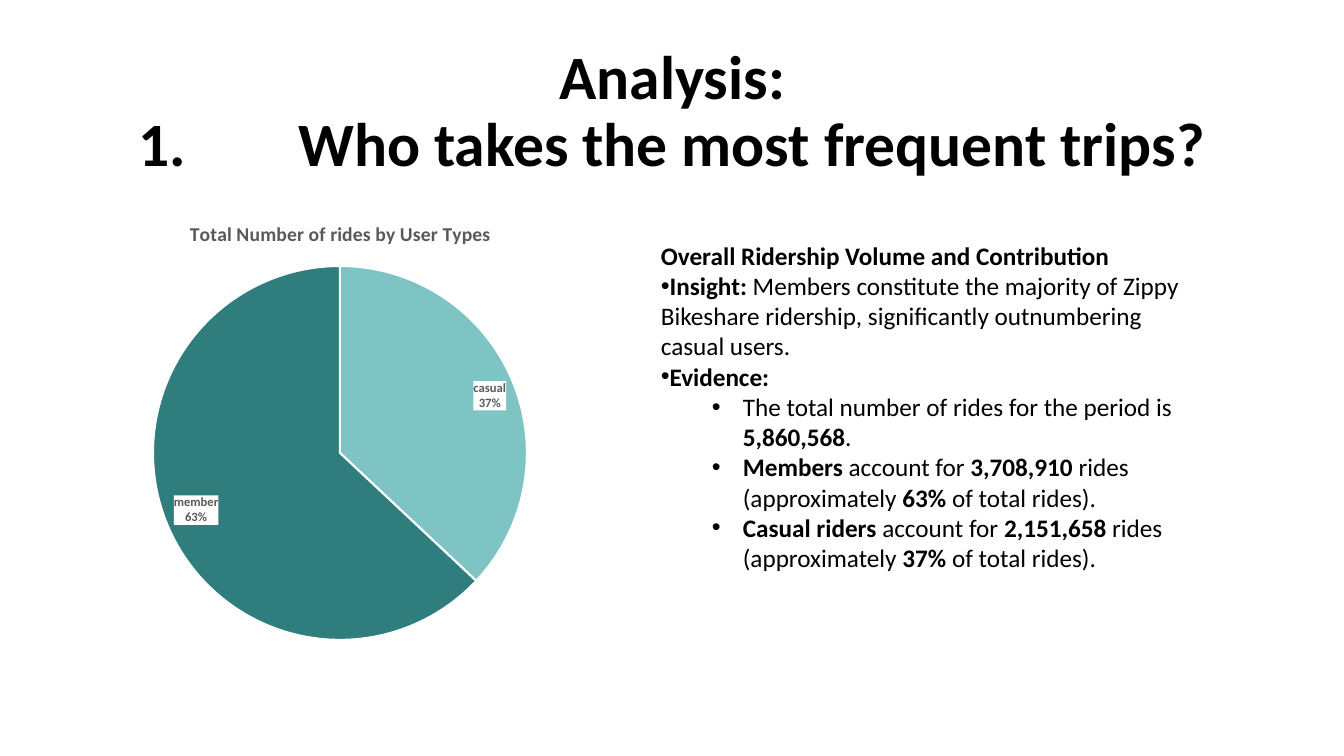
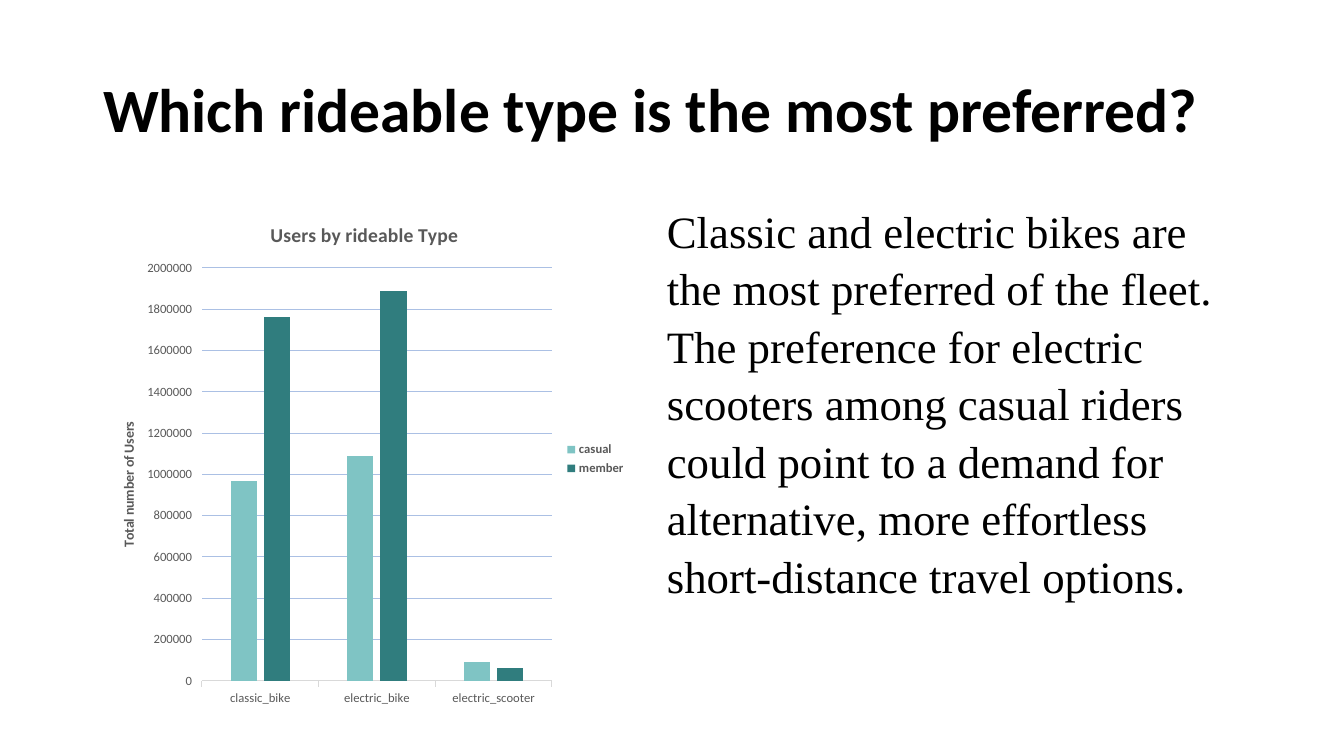
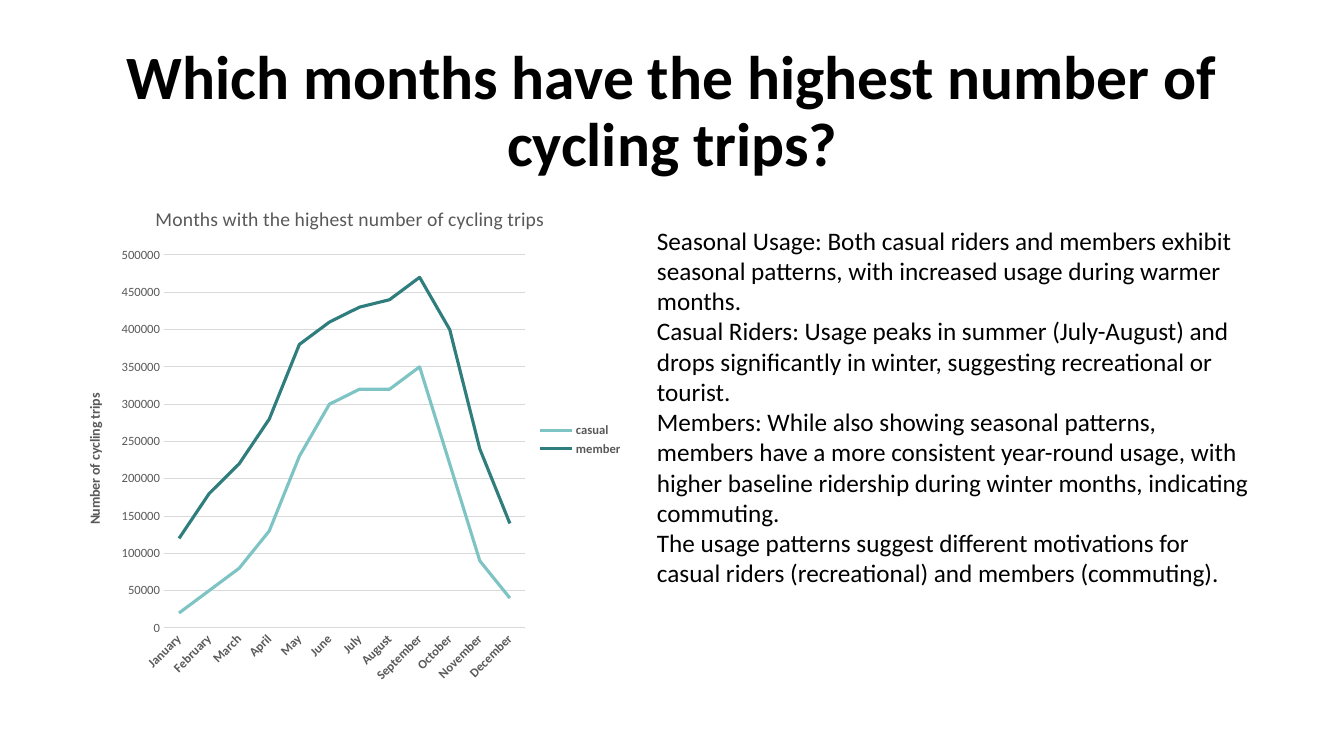
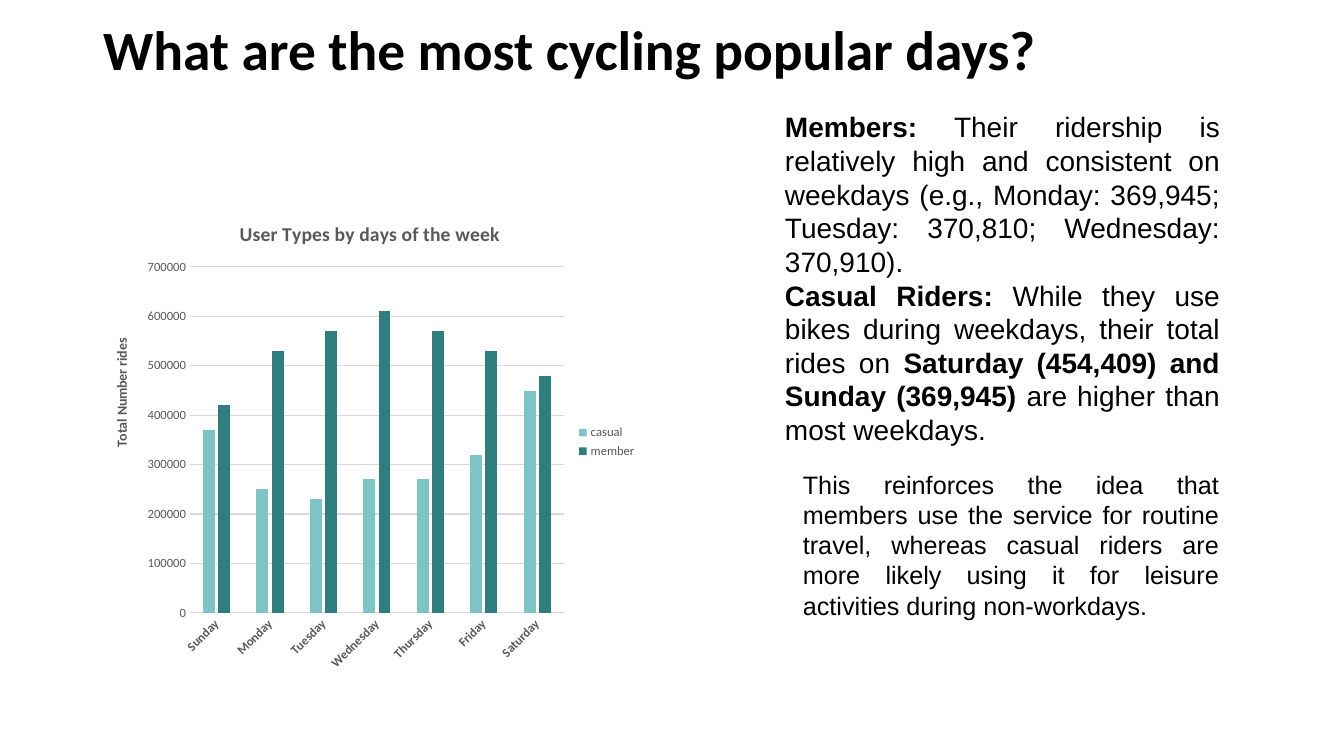
from lxml import etree
from pptx import Presentation
from pptx import util as u
from pptx.chart.data import CategoryChartData
from pptx.dml.color import RGBColor
from pptx.enum import chart as ch, text as tx
from pptx.oxml import parse_xml
from pptx.oxml.ns import nsdecls, qn

# Shared style
INK, GREY, RULE, WHITE = "000000", "595959", "D9D9D9", "FFFFFF"
TONES = ["7FC4C4", "307D7E"]
FACE = "Calibri"
LEFT, MID, JUST = tx.PP_ALIGN.LEFT, tx.PP_ALIGN.CENTER, tx.PP_ALIGN.JUSTIFY
TOP, CORE = tx.MSO_ANCHOR.TOP, tx.MSO_ANCHOR.MIDDLE
PIE, BAR, LINE = (ch.XL_CHART_TYPE.PIE, ch.XL_CHART_TYPE.COLUMN_CLUSTERED,
                  ch.XL_CHART_TYPE.LINE)
OUT, NONE = ch.XL_TICK_MARK.OUTSIDE, ch.XL_TICK_MARK.NONE
rgb = RGBColor.from_string


def px(n):
    return u.Emu(round(n * 12192000 / 1344))


def write(frame, lines, size, face=FACE, tone=INK, side=None, lead=None, after=None):
    """Fill a frame: * switches bold, a leading • or – sets bullet level 1 or 2,
    ~ is a wide gap and a newline breaks the line."""
    for n, line in enumerate(lines):
        par = frame.paragraphs[0] if n == 0 else frame.add_paragraph()
        par.alignment, par.line_spacing, par.space_after = side, lead, after
        if line[0] in "•–":
            prop = par._p.get_or_add_pPr()
            deep = line[0] == "–"
            prop.set("lvl", str(int(deep)))
            prop.set("marL", str(px(82) if deep else 0))
            prop.set("indent", str(-px(31) if deep else 0))
            etree.SubElement(prop, qn("a:buFont")).set("typeface", "Arial")
            etree.SubElement(prop, qn("a:buChar")).set("char", "•")
            line = line[1:]
        for i, part in enumerate(line.split("*")):
            for j, row in enumerate(part.split("\n")):
                if j:
                    par.add_line_break()
                for k, bit in enumerate(row.split("~")):
                    for word in ([" "] if k else []) + ([bit] if bit else []):
                        run = par.add_run()
                        run.text = word
                        font = run.font
                        font.name, font.size, font.bold = face, u.Pt(size), i % 2 == 1
                        font.color.rgb = rgb(tone)
                        if k and word == " ":
                            run._r.get_or_add_rPr().set("spc", "7000")


# Slide content; boxes are left, top, width, height in px
PAGES = [
    dict(
        title="*Analysis:\n1.~Who takes the most frequent trips?*", side=MID,
        kind=PIE, box=(93, 202, 495, 454), plot=(153, 266, 374, 374),
        head="*Total Number of rides by User Types*",
        cats=["casual", "member"], data=[("Series 1", [37, 63])],
        texts=[dict(box=(651, 235, 556, 346), size=18, lines=[
            "*Overall Ridership Volume and Contribution*",
            "•*Insight:* Members constitute the majority of Zippy Bikeshare ridership, "
            "significantly outnumbering casual users.",
            "•*Evidence:*",
            "–The total number of rides for the period is *5,860,568*.",
            "–*Members* account for *3,708,910* rides (approximately *63%* of total rides).",
            "–*Casual riders* account for *2,151,658* rides (approximately *37%* of total rides).",
        ])]),
    dict(
        title="*Which rideable type is the most preferred?*",
        kind=BAR, box=(93, 202, 543, 514), plot=(202, 268, 350, 413),
        head="*Users by rideable Type*", axis="*Total number of Users*", spot=(117, 419),
        grid="ABC0E4", tick=OUT, bold=False, turn=0, top=2000000, step=200000,
        cats=["classic_bike", "electric_bike", "electric_scooter"],
        data=[("casual", [970000, 1090000, 90000]),
              ("member", [1760000, 1890000, 60000])],
        texts=[dict(box=(657, 195, 594, 414), size=32, face="Times New Roman",
                    lead=1.07, after=u.Pt(8), lines=[
            "Classic and electric bikes are the most preferred of the fleet. "
            "The preference for electric scooters among casual riders could point to "
            "a demand for alternative, more effortless short-distance travel options.",
        ])]),
    dict(
        title="*Which months have the highest number of cycling trips?*", side=MID,
        kind=LINE, box=(67, 186, 566, 507), plot=(164, 255, 361, 373),
        head="Months with the highest number of cycling trips",
        axis="*Number of cycling trips*", spot=(83, 391), top=500000, step=50000,
        cats=["January", "February", "March", "April", "May", "June", "July",
              "August", "September", "October", "November", "December"],
        data=[("casual", [20000, 50000, 80000, 130000, 230000, 300000,
                          320000, 320000, 350000, 220000, 90000, 40000]),
              ("member", [120000, 180000, 220000, 280000, 380000, 410000,
                          430000, 440000, 470000, 400000, 240000, 140000])],
        texts=[dict(box=(647, 220, 617, 377), size=18, lines=[
            "Seasonal Usage: Both casual riders and members exhibit seasonal patterns, "
            "with increased usage during warmer months.",
            "Casual Riders: Usage peaks in summer (July-August) and drops significantly "
            "in winter, suggesting recreational or tourist.",
            "Members: While also showing seasonal patterns, members have a more consistent "
            "year-round usage, with higher baseline ridership during winter months, "
            "indicating commuting.",
            "The usage patterns suggest different motivations for casual riders "
            "(recreational) and members (commuting).",
        ])]),
    dict(
        title="*What are the most cycling popular days?*", size=39.6, area=(93, 7, 969, 92),
        kind=BAR, box=(93, 202, 554, 480), plot=(190, 267, 374, 346),
        head="*User Types by days of the week*", axis="*Total Number rides*",
        spot=(110, 336), key=False, top=700000, step=100000,
        cats=["Sunday", "Monday", "Tuesday", "Wednesday", "Thursday", "Friday", "Saturday"],
        data=[("casual", [370000, 250000, 230000, 270000, 270000, 320000, 450000]),
              ("member", [420000, 530000, 570000, 610000, 570000, 530000, 480000])],
        texts=[
            dict(box=(775, 103, 455, 350), size=20, face="Arial", side=JUST, anchor=CORE, lines=[
                "*Members:* Their ridership is relatively high and consistent on weekdays "
                "(e.g., Monday: 369,945; Tuesday: 370,810; Wednesday: 370,910).",
                "*Casual Riders:* While they use bikes during weekdays, their total rides on "
                "*Saturday (454,409) and Sunday (369,945)* are higher than most weekdays.",
            ]),
            dict(box=(793, 464, 436, 163), size=18, face="Arial", side=JUST, lines=[
                "This reinforces the idea that members use the service for routine travel, "
                "whereas casual riders are more likely using it for leisure activities "
                "during non-workdays.",
            ])]),
]

deck = Presentation()
deck.slide_width, deck.slide_height = px(1344), px(756)

for page in PAGES:
    slide = deck.slides.add_slide(deck.slide_layouts[5])

    # Title
    title = slide.shapes.title
    title.left, title.top, title.width, title.height = map(
        px, page.get("area", (93, 40, 1159, 146)))
    frame = title.text_frame
    frame.auto_size, frame.vertical_anchor = tx.MSO_AUTO_SIZE.NONE, CORE
    write(frame, [page["title"]], page.get("size", 44), side=page.get("side", LEFT), lead=0.9)

    # Chart
    data = CategoryChartData(number_format="General")
    data.categories = page["cats"]
    for name, vals in page["data"]:
        data.add_series(name, vals)
    kind, box = page["kind"], page["box"]
    chart = slide.shapes.add_chart(kind, *map(px, box), data).chart
    chart.font.name, chart.font.size = FACE, u.Pt(10)
    chart.font.color.rgb = rgb(INK)
    write(chart.chart_title.text_frame, [page["head"]], 14, tone=GREY)
    plot = chart.plots[0]
    plot.vary_by_categories = kind == PIE
    chart.has_legend = kind != PIE
    spots = [(chart._chartSpace.chart.plotArea, 0, page["plot"])]

    if kind == PIE:
        for i, tone in enumerate(TONES):
            look = plot.series[0].points[i].format
            look.fill.solid()
            look.fill.fore_color.rgb = rgb(tone)
            look.line.color.rgb = rgb(WHITE)
            look.line.width = u.Pt(1.5)
        plot.has_data_labels = True
        tags = plot.data_labels
        tags.show_category_name = tags.show_percentage = True
        tags.show_value = False
        tags.position = ch.XL_LABEL_POSITION.INSIDE_END
        fonts = [(tags.font, True)]
        # White label boxes, name above share
        node = tags._element
        node.find(qn("c:txPr")).addprevious(parse_xml(
            f'<c:spPr {nsdecls("c", "a")}><a:solidFill><a:srgbClr val="{WHITE}"/>'
            '</a:solidFill></c:spPr>'))
        node.find(qn("c:showBubbleSize")).addnext(parse_xml(
            f'<c:separator {nsdecls("c")}>\n</c:separator>'))
    else:
        for line, tone in zip(plot.series, TONES):
            if kind == LINE:
                line.smooth = False
                line.marker.style = ch.XL_MARKER_STYLE.NONE
                line.format.line.color.rgb = rgb(tone)
                line.format.line.width = u.Pt(2.25)
            else:
                line.format.fill.solid()
                line.format.fill.fore_color.rgb = rgb(tone)
        if kind == BAR:
            plot.gap_width, plot.overlap = 219, -27

        # Axes and legend
        cat, val, key = chart.category_axis, chart.value_axis, chart.legend
        cat.major_tick_mark = val.major_tick_mark = page.get("tick", NONE)
        cat.format.line.color.rgb = rgb(RULE)
        cat.format.line.width = u.Pt(0.75)
        val.format.line.fill.background()
        val.minimum_scale, val.maximum_scale = 0, page["top"]
        val.major_unit = page["step"]
        grid = val.major_gridlines.format.line
        grid.color.rgb, grid.width = rgb(page.get("grid", RULE)), u.Pt(0.75)
        write(val.axis_title.text_frame, [page["axis"]], 10, tone=GREY)
        val.axis_title.text_frame._txBody.bodyPr.set("rot", "-5400000")
        spots.append((val.axis_title._element, 1, page["spot"]))
        key.position, key.include_in_layout = ch.XL_LEGEND_POSITION.RIGHT, False
        fonts = [(cat.tick_labels.font, page.get("bold", True)),
                 (val.tick_labels.font, False), (key.font, page.get("key", True))]
        cat._element.find(qn("c:txPr")).find(qn("a:bodyPr")).set(
            "rot", str(page.get("turn", -2700000)))

    for font, bold in fonts:
        font.name, font.size, font.bold = FACE, u.Pt(9), bold
        font.color.rgb = rgb(GREY)

    # Fixed places of plot area and axis title, as shares of the chart
    for node, at, spot in spots:
        for old in node.findall(qn("c:layout")):
            node.remove(old)
        place = etree.Element(qn("c:layout"))
        hand = etree.SubElement(place, qn("c:manualLayout"))
        if len(spot) == 4:
            etree.SubElement(hand, qn("c:layoutTarget")).set("val", "inner")
        for mode in ("xMode", "yMode"):
            etree.SubElement(hand, qn("c:" + mode)).set("val", "edge")
        for i, (name, n) in enumerate(zip("xywh", spot)):
            share = (n - box[i]) / box[i + 2] if i < 2 else n / box[i]
            etree.SubElement(hand, qn("c:" + name)).set("val", f"{share:.4f}")
        node.insert(at, place)

    # Body text
    for part in page["texts"]:
        frame = slide.shapes.add_textbox(*map(px, part["box"])).text_frame
        frame.word_wrap = True
        frame.auto_size = tx.MSO_AUTO_SIZE.SHAPE_TO_FIT_TEXT
        frame.vertical_anchor = part.get("anchor", TOP)
        write(frame, part["lines"], part["size"], part.get("face", FACE),
              side=part.get("side", LEFT), lead=part.get("lead"), after=part.get("after"))

deck.save("out.pptx")
